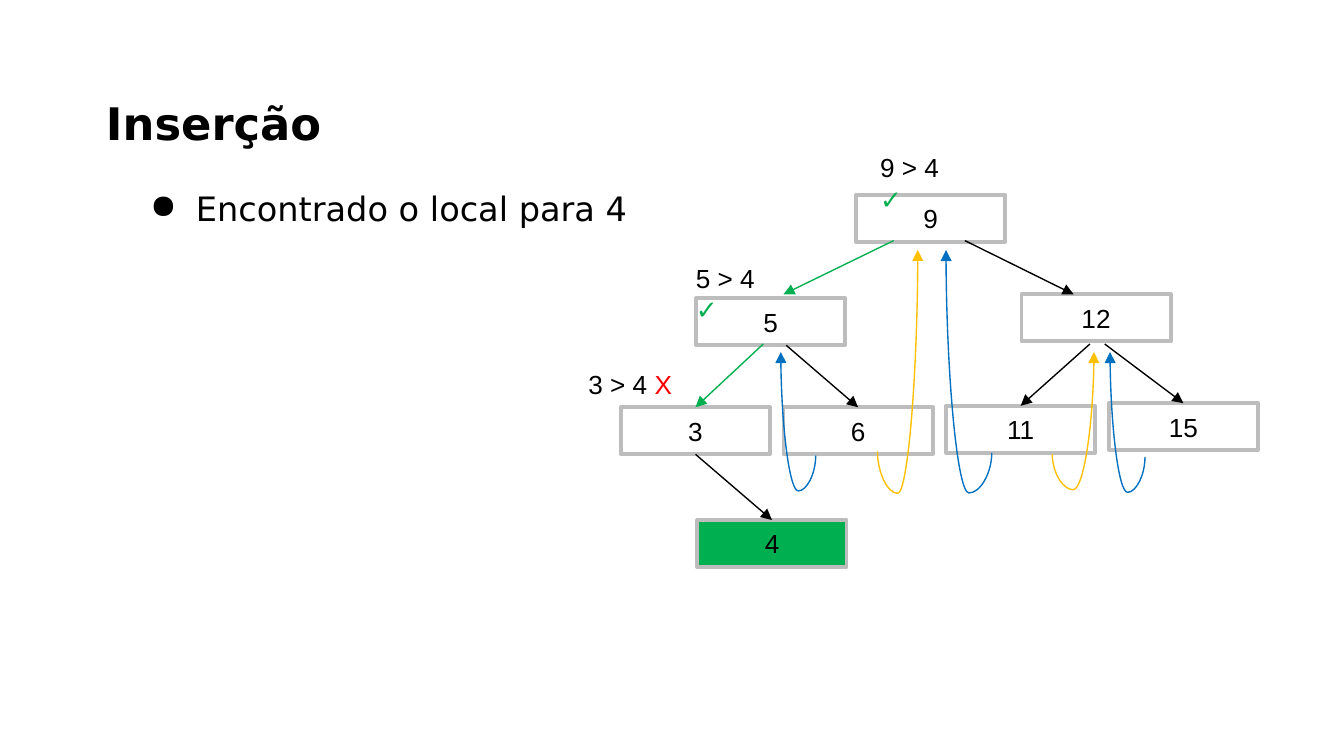
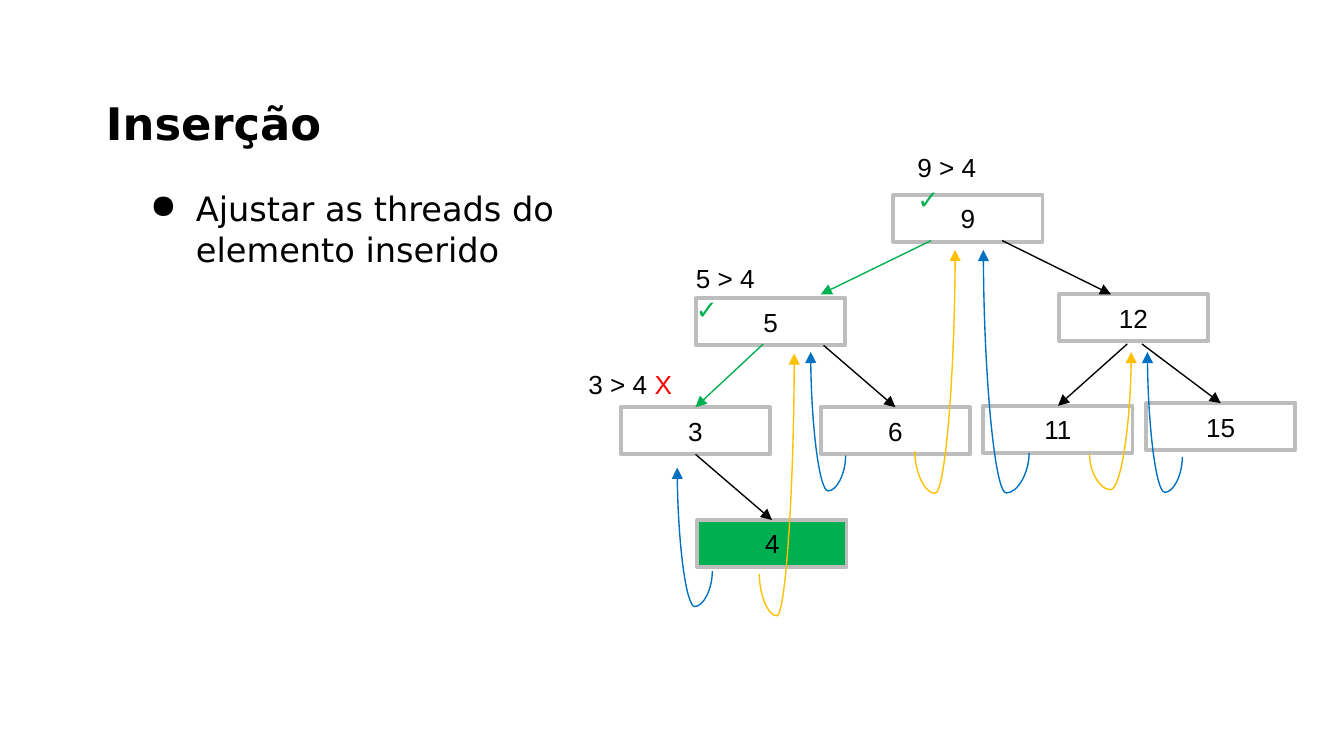
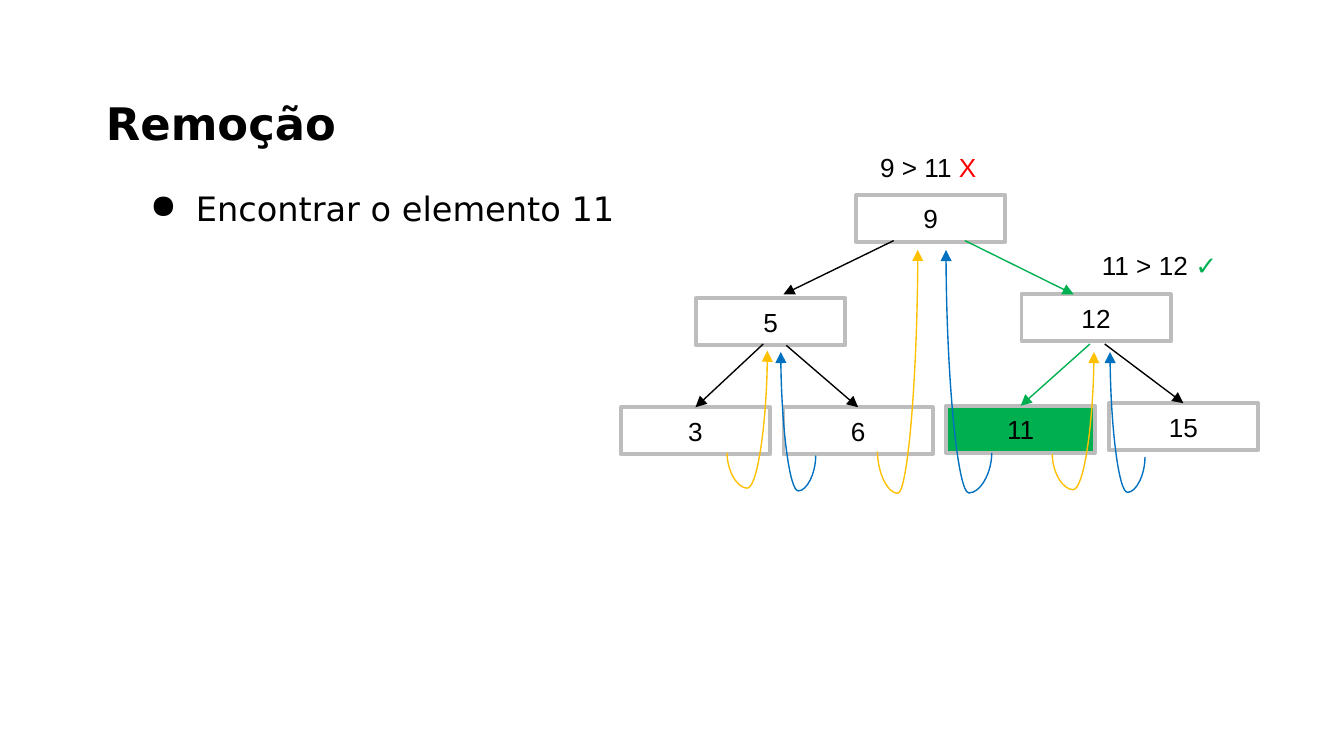
from lxml.etree import SubElement
from pptx import Presentation
from pptx.dml.color import RGBColor
from pptx.enum.shapes import MSO_CONNECTOR, MSO_SHAPE
from pptx.enum.text import MSO_ANCHOR, PP_ALIGN
from pptx.oxml.ns import qn
from pptx.util import Pt

BLACK, WHITE, GRAY = "000000", "FFFFFF", "BDBDBD"
GREEN, RED, YELLOW, BLUE = "00B050", "FF0000", "FFC000", "0070C0"
CHECK, CROSS = (" ✓", GREEN), (" X", RED)

TITLE_BOX = (49.7, 43.2, 671, 45.4)
TREE_ORIGIN = (332.6, 104.4)
NODE_SIZE = (80, 25.2)
LEAF_EDGE = None

TITLE_FONT = {"name": "DejaVu Sans", "size": Pt(24), "bold": True}
BODY_FONT = {"name": "DejaVu Sans", "size": Pt(18)}
TREE_FONT = {"name": "Arial", "size": Pt(14)}
TEXT_FRAME = {"word_wrap": True, "margin_left": Pt(7.2), "margin_right": Pt(7.2),
              "margin_top": Pt(7.2), "margin_bottom": Pt(7.2)}
LABEL_FRAME = {"margin_left": Pt(7.2), "margin_top": Pt(3.6), "margin_bottom": Pt(3.6)}

# key: left, top, move to the right in the wide tree
NODES = {
    "9": (126, 0, 20),
    "5": (40.3, 55.4, 0),
    "12": (214.6, 53.3, 20),
    "3": (0, 113.8, 0),
    "6": (87.1, 113.8, 20),
    "11": (174.2, 113, 20),
    "15": (261.4, 111.6, 20),
    "4": (41, 174.2, 0),
}
EDGES = {
    ("9", "5"): ((146.2, 24.5), (87.1, 53.3), 20),
    ("9", "12"): ((184.3, 24.5), (242.6, 53.3), 20),
    ("5", "3"): ((76.3, 79.9), LEAF_EDGE, 0),
    ("5", "6"): ((88.6, 80.6), LEAF_EDGE, 20),
    ("12", "15"): ((259.2, 79.9), LEAF_EDGE, 20),
    ("12", "11"): ((251.3, 79.9), LEAF_EDGE, 20),
    ("3", "4"): ((40.3, 139), LEAF_EDGE, 0),
}
THREADS = {
    ("6", "9"): ((137.5, 137.5), (159.1, 29.5), 22.5, 20),
    ("11", "9"): ((198.7, 138.2), (174.2, 29.5), 21.5, 20),
    ("3", "5"): ((56.9, 138.2), (78.5, 83.5), 19, 0),
    ("11", "12"): ((231.1, 139), (253.4, 84.2), 19, 20),
    ("6", "5"): ((104.4, 139.7), (85.7, 84.2), 19, 16),
    ("4", "3"): ((49, 201.6), (30.2, 146.2), 19, 0),
    ("4", "5"): ((74.2, 203), (92.9, 85), 22.5, 0),
    ("15", "12"): ((280.8, 140.4), (262.1, 84.2), 19, 20),
}
INSERTION_LABELS = [
    ("9 > 4", CHECK, (131.8, -26.6, 64.8), 20, True),
    ("5 > 4", CHECK, (33.1, 32.4, 64.8), 0, True),
    ("3 > 4", CROSS, (-24.5, 89.3, 59.8), 0, False),
]
REMOVAL_LABELS = [
    ("9 > 11", CROSS, (131.8, -26.6, 67.7), 20, False),
    ("11 > 12", CHECK, (250.6, 25.9, 76.3), 20, False),
]
COMMON_THREADS = {("6", "9"), ("11", "9"), ("11", "12"), ("6", "5"), ("15", "12")}
INSERTION = {"title": "Inserção", "nodes": set(NODES), "found": "4",
             "visited": {("9", "5"), ("5", "3")}, "labels": INSERTION_LABELS}
SLIDES = [
    {**INSERTION, "body": "Encontrado o local para 4", "body_width": 560,
     "threads": COMMON_THREADS, "wide": False},
    {**INSERTION, "body": "Ajustar as threads do elemento inserido", "body_width": 278.6,
     "threads": COMMON_THREADS | {("4", "3"), ("4", "5")}, "wide": True},
    {"title": "Remoção", "nodes": set(NODES) - {"4"}, "found": "11",
     "visited": {("9", "12"), ("12", "11")}, "labels": REMOVAL_LABELS,
     "body": "Encontrar o elemento 11", "body_width": 560,
     "threads": COMMON_THREADS | {("3", "5")}, "wide": False},
]


def color(value):
    """Turn a hex string into a colour."""
    return RGBColor.from_string(value)


def apply_format(target, values):
    """Set each attribute named in a dict of format values."""
    for name, value in values.items():
        setattr(target, name, value)


def add_run(paragraph, text, font, text_color=BLACK):
    """Add one formatted run to a paragraph."""
    run = paragraph.add_run()
    run.text = text
    apply_format(run.font, font)
    run.font.color.rgb = color(text_color)


def add_text(slide, box, frame_format):
    """Add a text box and return its first paragraph."""
    text_frame = slide.shapes.add_textbox(*map(Pt, box)).text_frame
    apply_format(text_frame, frame_format)
    return text_frame.paragraphs[0]


def add_title(slide, box, text):
    """Write the slide title in its box."""
    paragraph = add_text(slide, box, {**TEXT_FRAME, "vertical_anchor": MSO_ANCHOR.MIDDLE})
    add_run(paragraph, text, TITLE_FONT)


def add_body(slide, box, text):
    """Write the bulleted statement in its box."""
    paragraph = add_text(slide, box, TEXT_FRAME)
    properties = paragraph._p.get_or_add_pPr()
    properties.set("marL", str(Pt(36)))
    properties.set("indent", str(Pt(-24.5)))
    bullet_color = SubElement(properties, qn("a:buClr"))
    SubElement(bullet_color, qn("a:srgbClr")).set("val", BLACK)
    SubElement(properties, qn("a:buChar")).set("char", "●")
    add_run(paragraph, text, BODY_FONT)


def add_node(slide, left, top, key, fill):
    """Draw one tree node and return its shape."""
    shape = slide.shapes.add_shape(MSO_SHAPE.RECTANGLE, *map(Pt, (left, top, *NODE_SIZE)))
    shape.shadow.inherit = False
    shape.fill.solid()
    shape.fill.fore_color.rgb = color(fill)
    shape.line.color.rgb = color(GRAY)
    shape.line.width = Pt(2)
    shape.text_frame.vertical_anchor = MSO_ANCHOR.MIDDLE
    paragraph = shape.text_frame.paragraphs[0]
    paragraph.alignment = PP_ALIGN.CENTER
    add_run(paragraph, key, TREE_FONT)
    return shape


def add_arrow(slide, kind, start, end, line_color):
    """Draw a thin connector with an arrowhead at its end."""
    connector = slide.shapes.add_connector(kind, *map(Pt, (*start, *end)))
    connector.line.color.rgb = color(line_color)
    connector.line.width = Pt(0.75)
    properties = connector._element.spPr
    SubElement(properties.find(qn("a:ln")), qn("a:tailEnd")).set("type", "triangle")
    SubElement(properties, qn("a:effectLst"))
    return connector


def add_thread(slide, start, end, drop):
    """Draw a curve that dips by drop below its start and rises to its end."""
    side = 1 if end[0] > start[0] else -1
    center_x, center_y = (start[0] + end[0]) / 2, (start[1] + end[1]) / 2
    rise = start[1] - end[1]
    half_width, half_height = rise / 2 * side, abs(end[0] - start[0]) / 2
    connector = add_arrow(slide, MSO_CONNECTOR.CURVE,
                          (center_x + half_width, center_y + half_height),
                          (center_x - half_width, center_y - half_height),
                          YELLOW if side == 1 else BLUE)
    properties = connector._element.spPr
    properties.find(qn("a:xfrm")).set("rot", str((90 if side == 1 else 270) * 60000))
    geometry = properties.find(qn("a:prstGeom"))
    adjustments = geometry.find(qn("a:avLst"))
    if adjustments is None:
        adjustments = SubElement(geometry, qn("a:avLst"))
    guide = SubElement(adjustments, qn("a:gd"))
    guide.set("name", "adj1")
    guide.set("fmla", f"val {round(-drop / rise * 100000)}")


def add_label(slide, box, comparison, mark, wrapped):
    """Write a comparison and its mark, which may fall to a second line."""
    paragraph = add_text(slide, box, {**LABEL_FRAME, "word_wrap": wrapped,
                                      "margin_right": Pt(14.4 if wrapped else 7.2)})
    add_run(paragraph, comparison, TREE_FONT)
    add_run(paragraph, mark[0], TREE_FONT, mark[1])


def add_tree(slide, origin, content):
    """Draw the threaded tree relative to its origin."""
    def place(point, move):
        """Shift a tree point to its place on the slide."""
        return origin[0] + point[0] + move * content["wide"], origin[1] + point[1]

    shapes = {}
    for key, (left, top, move) in NODES.items():
        if key in content["nodes"]:
            fill = GREEN if key == content["found"] else WHITE
            shapes[key] = add_node(slide, *place((left, top), move), key, fill)
    for (parent, child), (start, end, move) in EDGES.items():
        if child not in shapes:
            continue
        line_color = GREEN if (parent, child) in content["visited"] else BLACK
        connector = add_arrow(slide, MSO_CONNECTOR.STRAIGHT, place(start, move),
                              place(end or start, move), line_color)
        if end is LEAF_EDGE:
            connector.end_connect(shapes[child], 0)
        if parent == "3":
            connector.begin_connect(shapes[parent], 2)
    for key, (start, end, drop, move) in THREADS.items():
        if key in content["threads"]:
            add_thread(slide, place(start, move), place(end, move), drop)
    for comparison, mark, (left, top, width), move, wrapped in content["labels"]:
        box = (*place((left, top), move), width, 24.5)
        add_label(slide, box, comparison, mark, wrapped)


def main():
    """Build the slides and save the presentation."""
    presentation = Presentation()
    presentation.slide_width, presentation.slide_height = Pt(720), Pt(405)
    for content in SLIDES:
        slide = presentation.slides.add_slide(presentation.slide_layouts[6])
        add_body(slide, (61.9, 93.6, content["body_width"], 270.7), content["body"])
        add_title(slide, TITLE_BOX, content["title"])
        add_tree(slide, TREE_ORIGIN, content)
    presentation.save("out.pptx")


if __name__ == "__main__":
    main()
